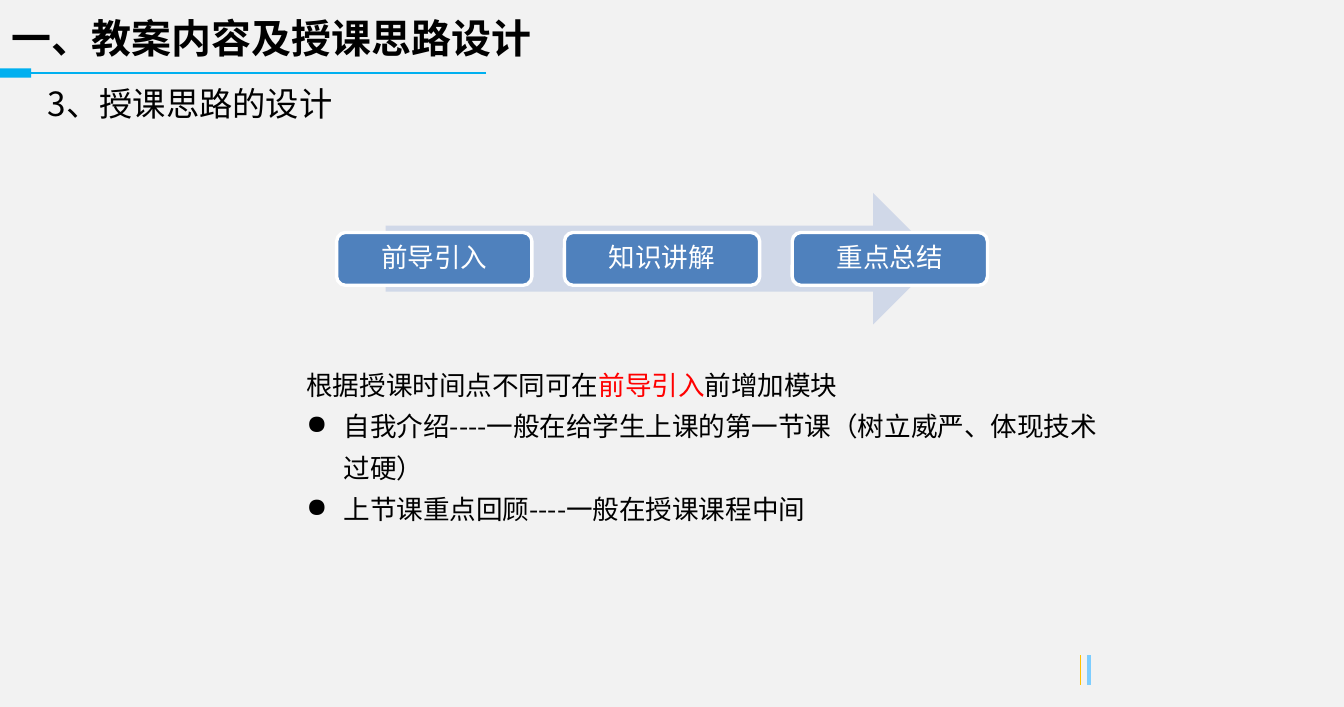
from dataclasses import dataclass

from lxml import etree
from pptx import Presentation
from pptx.dml.color import RGBColor
from pptx.enum.shapes import MSO_CONNECTOR, MSO_SHAPE
from pptx.enum.text import MSO_ANCHOR, MSO_AUTO_SIZE, PP_ALIGN
from pptx.oxml.ns import qn
from pptx.util import Cm, Pt

STRAIGHT = MSO_CONNECTOR.STRAIGHT
RECTANGLE = MSO_SHAPE.RECTANGLE
ROUNDED = MSO_SHAPE.ROUNDED_RECTANGLE
RIGHT_ARROW = MSO_SHAPE.RIGHT_ARROW
MIDDLE, TOP = MSO_ANCHOR.MIDDLE, MSO_ANCHOR.TOP
LEFT, CENTER = PP_ALIGN.LEFT, PP_ALIGN.CENTER
NO_AUTOFIT = MSO_AUTO_SIZE.NONE
RIGHT_SIDE = 3


@dataclass(frozen=True)
class Theme:
    font: str = "Noto Sans CJK SC"
    background: str = "F2F2F2"
    ink: str = "000000"
    highlight: str = "FF0000"
    accent: str = "00B0F0"
    arrow: str = "D0D8E8"
    step: str = "4F81BD"
    white: str = "FFFFFF"
    pale_blue: str = "7DCDFF"
    amber: str = "FFC000"
    title_size: int = 24
    subtitle_size: int = 20
    body_size: int = 16


@dataclass(frozen=True)
class Box:
    """Position and size in centimetres."""
    left: float
    top: float
    width: float
    height: float

    def lengths(self) -> tuple:
        return Cm(self.left), Cm(self.top), Cm(self.width), Cm(self.height)


@dataclass(frozen=True)
class Run:
    text: str
    color: str
    size: int
    bold: bool = False


@dataclass(frozen=True)
class Paragraph:
    runs: tuple
    align: int = LEFT
    spacing: float = 1.0
    bullet: str = ""


@dataclass(frozen=True)
class Rule:
    x1: float
    y1: float
    x2: float
    y2: float
    color: str
    weight: float


THEME = Theme()
STEPS = ("前导引入", "知识讲解", "重点总结")
FIRST_STEP = Box(7.14, 4.93, 4.14, 1.12)
STEP_PITCH = 4.83
BULLET_INDENT = Cm(0.79)
ACCENT_BLOCK = Box(0, 1.45, 0.66, 0.2)
TITLE_RULE = Rule(10.31, 1.55, 0.66, 1.55, THEME.accent, 0.75)
CORNER_RULES = (
    Rule(23.09, 13.89, 23.09, 14.53, THEME.pale_blue, 2.25),
    Rule(22.91, 13.89, 22.91, 14.53, THEME.amber, 0.75),
)


def body_run(text: str, color: str = THEME.ink) -> Run:
    return Run(text, color, THEME.body_size)


BODY = (
    Paragraph((body_run("根据授课时间点不同可在"),
               body_run("前导引入", THEME.highlight),
               body_run("前增加模块")), spacing=1.3),
    Paragraph((body_run("自我介绍----一般在给学生上课的第一节课（树立威严、体现技术过硬）"),),
              spacing=1.3, bullet="●"),
    Paragraph((body_run("上节课重点回顾----一般在授课课程中间"),),
              spacing=1.3, bullet="●"),
)


def set_all(target, values: dict) -> None:
    for name, value in values.items():
        setattr(target, name, value)


def add_bullet(paragraph, character: str) -> None:
    properties = paragraph._p.get_or_add_pPr()
    properties.set("marL", str(BULLET_INDENT))
    properties.set("indent", str(-BULLET_INDENT))
    etree.SubElement(properties, qn("a:buChar")).set("char", character)


def write_text(frame, paragraphs: tuple, anchor=TOP, margin=None) -> None:
    set_all(frame, {"word_wrap": True, "auto_size": NO_AUTOFIT,
                    "vertical_anchor": anchor})
    if margin is not None:
        sides = ("margin_left", "margin_top", "margin_right", "margin_bottom")
        set_all(frame, dict.fromkeys(sides, Cm(margin)))
    for index, content in enumerate(paragraphs):
        paragraph = frame.add_paragraph() if index else frame.paragraphs[0]
        if content.bullet:
            add_bullet(paragraph, content.bullet)
        set_all(paragraph, {"alignment": content.align,
                            "line_spacing": content.spacing})
        for part in content.runs:
            run = paragraph.add_run()
            run.text = part.text
            set_all(run.font, {"name": THEME.font, "size": Pt(part.size),
                               "bold": part.bold})
            run.font.color.rgb = RGBColor.from_string(part.color)
            east_asian = etree.SubElement(run.font._element, qn("a:ea"))
            east_asian.set("typeface", THEME.font)


def add_filled(slide, kind, box: Box, fill: str, outline: str = ""):
    shape = slide.shapes.add_shape(kind, *box.lengths())
    shape.shadow.inherit = False
    shape.fill.solid()
    shape.fill.fore_color.rgb = RGBColor.from_string(fill)
    if outline:
        shape.line.color.rgb = RGBColor.from_string(outline)
        shape.line.width = Pt(2)
    else:
        shape.line.fill.background()
    return shape


def add_rule(slide, rule: Rule):
    line = slide.shapes.add_connector(STRAIGHT, Cm(rule.x1), Cm(rule.y1),
                                      Cm(rule.x2), Cm(rule.y2))
    line.line.color.rgb = RGBColor.from_string(rule.color)
    line.line.width = Pt(rule.weight)
    etree.SubElement(line._element.spPr, qn("a:effectLst"))
    return line


def add_heading(slide) -> None:
    accent_block = add_filled(slide, RECTANGLE, ACCENT_BLOCK, THEME.accent)
    add_rule(slide, TITLE_RULE).end_connect(accent_block, RIGHT_SIDE)
    title = slide.shapes.title
    left, top, width, height = Box(0, -0.15, 14.86, 1.57).lengths()
    set_all(title, {"left": left, "top": top, "width": width, "height": height})
    heading = Run("一、教案内容及授课思路设计", THEME.ink, THEME.title_size, True)
    write_text(title.text_frame, (Paragraph((heading,), spacing=1.3),), MIDDLE)
    subtitle = slide.shapes.add_textbox(*Box(0.76, 1.65, 6.63, 1.12).lengths())
    topic = Run("3、授课思路的设计", THEME.ink, THEME.subtitle_size)
    write_text(subtitle.text_frame, (Paragraph((topic,)),))


def add_process(slide) -> None:
    add_filled(slide, RIGHT_ARROW, Box(8.18, 4.09, 11.73, 2.79), THEME.arrow)
    for index, name in enumerate(STEPS):
        box = Box(FIRST_STEP.left + index * STEP_PITCH, FIRST_STEP.top,
                  FIRST_STEP.width, FIRST_STEP.height)
        step = add_filled(slide, ROUNDED, box, THEME.step, THEME.white)
        label = Paragraph((body_run(name, THEME.white),), CENTER, 0.9)
        write_text(step.text_frame, (label,), MIDDLE, 0.17)


def main() -> None:
    deck = Presentation()
    set_all(deck, {"slide_width": Cm(28.5), "slide_height": Cm(14.99)})
    slide = deck.slides.add_slide(deck.slide_layouts[5])
    slide.background.fill.solid()
    slide.background.fill.fore_color.rgb = RGBColor.from_string(THEME.background)
    for rule in CORNER_RULES:
        add_rule(slide, rule)
    add_heading(slide)
    add_process(slide)
    explanation = slide.shapes.add_textbox(*Box(6.25, 7.49, 17.32, 5.36).lengths())
    write_text(explanation.text_frame, BODY)
    deck.save("out.pptx")


if __name__ == "__main__":
    main()
